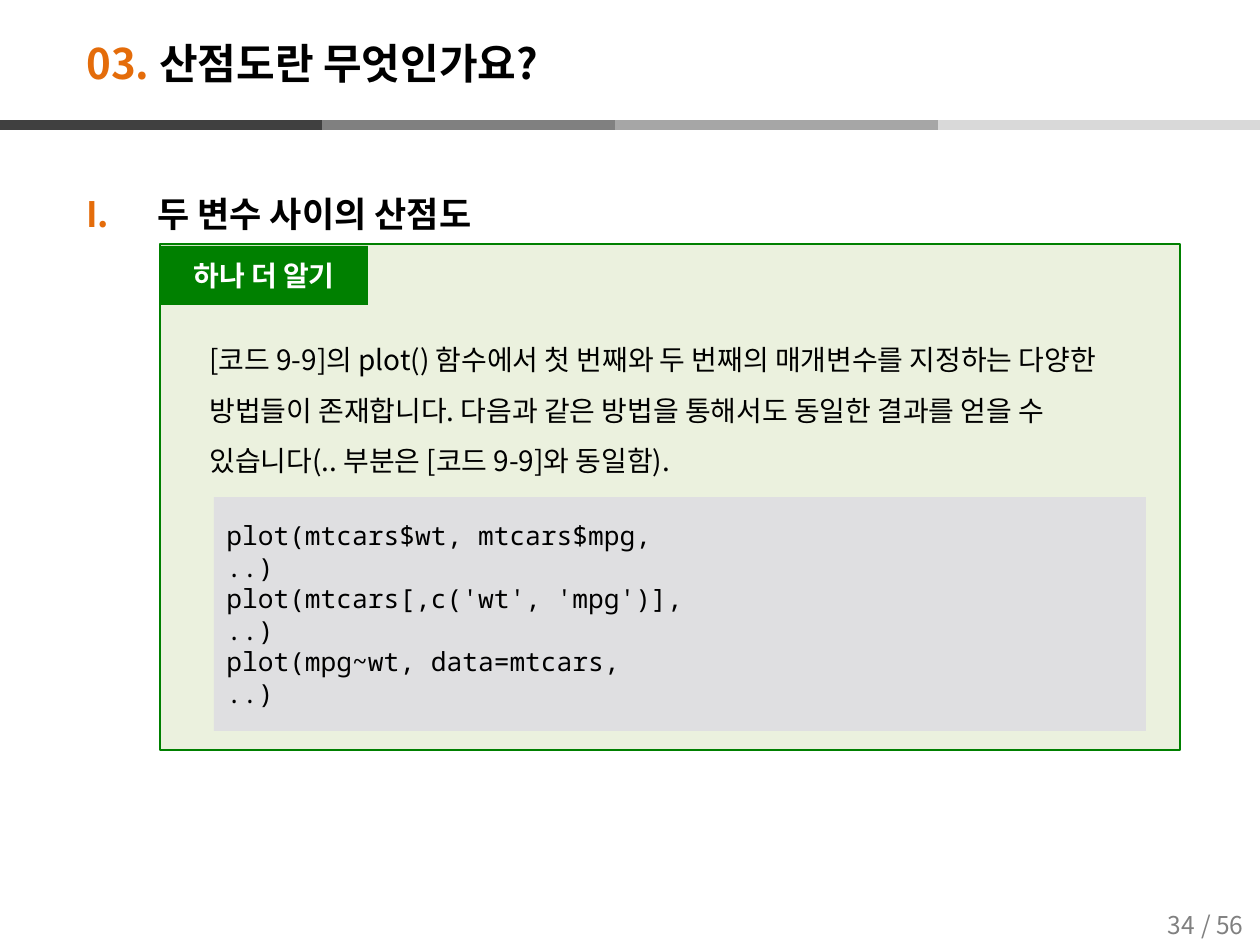
from lxml import etree
from pptx import Presentation
from pptx.dml.color import RGBColor
from pptx.enum.shapes import MSO_CONNECTOR, MSO_SHAPE
from pptx.enum.text import MSO_ANCHOR, PP_ALIGN
from pptx.oxml.ns import qn
from pptx.util import Emu, Pt

STRAIGHT, RECT = MSO_CONNECTOR.STRAIGHT, MSO_SHAPE.RECTANGLE
TOP, MIDDLE = MSO_ANCHOR.TOP, MSO_ANCHOR.MIDDLE
LEFT, CENTER = PP_ALIGN.LEFT, PP_ALIGN.CENTER
KOREAN, LATIN, MONO = "Noto Sans CJK KR", "Arial", "Noto Sans Mono"
COLORS = {
    "accent": "E46C0A", "ink": "000000", "white": "FFFFFF", "page": "808080",
    "panel": "EBF1DE", "green": "008000", "code": "DFDFE1",
}

TITLE = [("03. ", "accent"), ("산점도란 무엇인가요?", "ink")]
HEADING = "두 변수 사이의 산점도"
TIP_LABEL = "하나 더 알기"
TIP = (
    "[코드 9-9]의 plot() 함수에서 첫 번째와 두 번째의 매개변수를 지정하는 다양한 방법들이 존재합니다. "
    "다음과 같은 방법을 통해서도 동일한 결과를 얻을 수 있습니다(.. 부분은 [코드 9-9]와 동일함)."
)
CALLS = ["plot(mtcars$wt, mtcars$mpg,", "plot(mtcars[,c('wt', 'mpg')],", "plot(mpg~wt, data=mtcars,"]
CODE = [line for call in CALLS for line in (call, "..)")]
PAGES = [("/ 56", 1178), ("34", 1137)]
RULE_Y = 125
RULES = [(292, 615, "808080"), (615, 938, "A6A6A6"), (938, 1260, "D9D9D9"), (0, 322, "404040")]


def px(length):
    return Emu(round(length * 914400 / 126))


def rgb(name):
    return RGBColor.from_string(COLORS.get(name, name))


def add_rule(start, end, color):
    rule = slide.shapes.add_connector(STRAIGHT, px(start), px(RULE_Y), px(end), px(RULE_Y))
    rule.line.color.rgb = rgb(color)
    rule.line.width = Pt(6)
    etree.SubElement(rule._element.spPr, qn("a:effectLst"))


def add_box(box, fill, line=None):
    shape = slide.shapes.add_shape(RECT, *map(px, box))
    shape.shadow.inherit = False
    shape.fill.solid()
    shape.fill.fore_color.rgb = rgb(fill)
    if line:
        shape.line.color.rgb = rgb(line)
        shape.line.width = Pt(1)
    else:
        shape.line.fill.background()
    return shape


def add_text(box, paragraphs, size, font=KOREAN, color="ink", bold=False, fill=None,
             anchor=MIDDLE, align=LEFT, spacing=None, gap=0, margin=0, numeral=None):
    shape = add_box(box, fill) if fill else slide.shapes.add_textbox(*map(px, box))
    frame = shape.text_frame
    frame.word_wrap = True
    frame.vertical_anchor = anchor
    for index, content in enumerate(paragraphs):
        paragraph = frame.paragraphs[0] if index == 0 else frame.add_paragraph()
        paragraph.alignment = align
        paragraph.line_spacing = spacing
        paragraph.space_before = paragraph.space_after = Pt(gap)
        properties = paragraph._p.get_or_add_pPr()
        properties.set("marL", str(px(margin)))
        if numeral:
            properties.set("indent", str(-px(margin)))
            bullet_color = etree.SubElement(properties, qn("a:buClr"))
            etree.SubElement(bullet_color, qn("a:srgbClr"), val=COLORS[numeral])
            etree.SubElement(properties, qn("a:buFont"), typeface=font)
            etree.SubElement(properties, qn("a:buAutoNum"), type="romanUcPeriod")
        for words, ink in [(content, color)] if isinstance(content, str) else content:
            run = paragraph.add_run()
            run.text = words
            run.font.size = Pt(size)
            run.font.bold = bold
            run.font.name = font
            run.font.color.rgb = rgb(ink)
            east_asian = KOREAN if font == LATIN else font
            etree.SubElement(run._r.get_or_add_rPr(), qn("a:ea"), typeface=east_asian)


deck = Presentation()
deck.slide_width, deck.slide_height = px(1260), px(945)
slide = deck.slides.add_slide(deck.slide_layouts[6])

for rule in RULES:
    add_rule(*rule)
for number, left in PAGES:
    add_text((left, 900, 89, 49), [number], 14, color="page", align=CENTER)

add_text((74, 25, 1101, 76), [TITLE], 24, bold=True)
add_text((74, 165, 1111, 755), [HEADING], 20, font=LATIN, bold=True, anchor=TOP,
         spacing=1.5, margin=71, numeral="accent")
add_box((160, 244, 1020, 506), "panel", line="green")
add_text((160, 320, 1000, 241), [TIP], 16, anchor=TOP, spacing=1.5, gap=3, margin=37)
add_text((160, 246, 208, 59), [TIP_LABEL], 16, color="white", bold=True, fill="green", align=CENTER)
add_text((214, 497, 932, 234), CODE, 15, font=MONO, fill="code")

deck.save("out.pptx")
